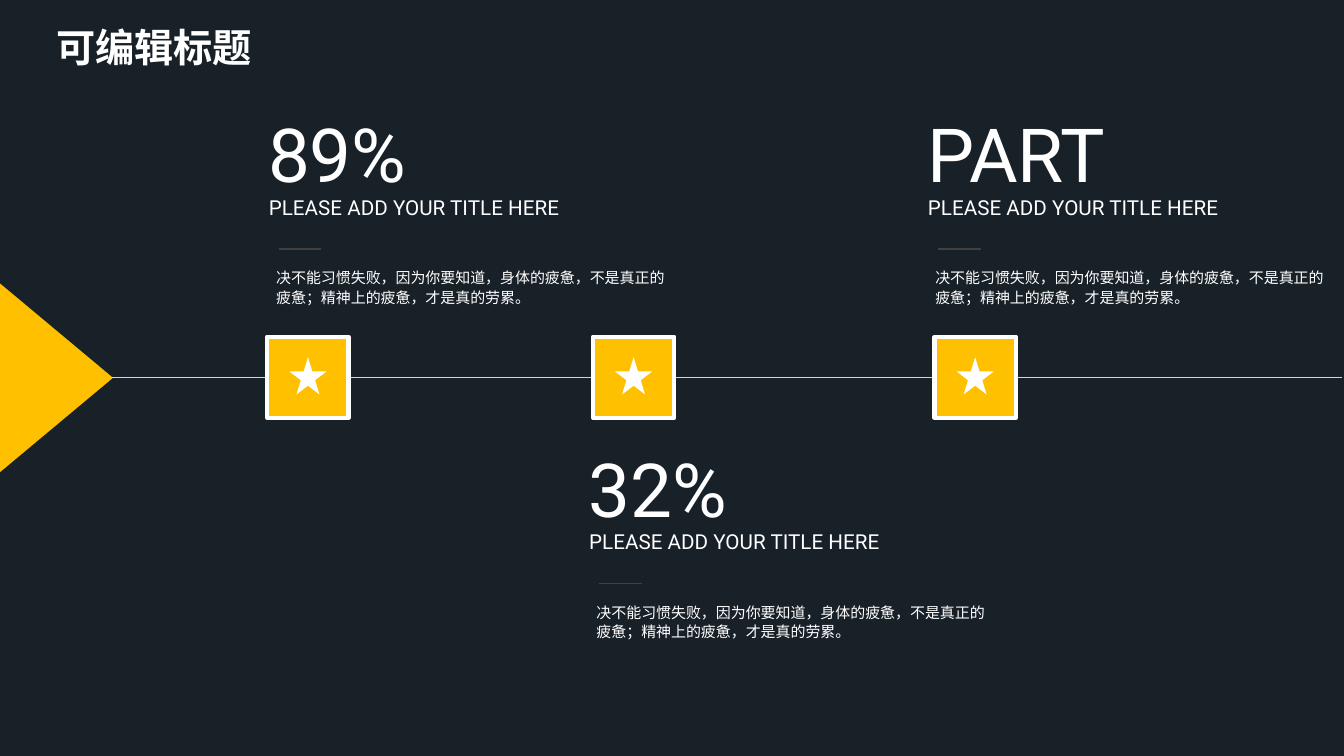
from lxml.etree import SubElement
from pptx import Presentation
from pptx.dml.color import RGBColor
from pptx.enum.shapes import MSO_CONNECTOR as Connector, MSO_SHAPE as Shape
from pptx.enum.text import MSO_AUTO_SIZE as AutoSize
from pptx.oxml.ns import qn
from pptx.util import Pt

TITLE = "可编辑标题"
HEADING = "PLEASE ADD YOUR TITLE HERE"
BODY = "决不能习惯失败，因为你要知道，身体的疲惫，不是真正的疲惫；精神上的疲惫，才是真的劳累。"
# figure, figure width, block left, block top, badge left
MILESTONES = [
    ("89%", 122.4, 184.4, 73.5, 191),
    ("32%", 122.4, 413.2, 312.5, 423.6),
    ("PART", 153.4, 655.2, 73.5, 667.6),
]

THEME = {
    "background": "182028", "accent": "FFC000", "white": "FFFFFF",
    "axis": "D5D5D5", "rule": "404040",
    "latin": "Roboto", "cjk": "Noto Sans CJK SC",
    "title": {"size": Pt(28), "bold": True, "name": "Roboto"},
    "figure": {"size": Pt(53.3), "name": "Roboto"},
    "heading": {"size": Pt(14.7), "name": "Roboto"},
    "body": {"size": Pt(10.7), "name": "Noto Sans CJK SC"},
}
SLIDE_WIDTH, SLIDE_HEIGHT = 960, 540
AXIS_Y, AXIS_LEFT, AXIS_RIGHT = 269.5, 80, 958.5
BADGE, STAR = 58, 26.6


def color(name):
    return RGBColor.from_string(THEME[name])


def add_text(page, text, style, left, top, width, height, wrap=True, spacing=None):
    box = page.shapes.add_textbox(Pt(left), Pt(top), Pt(width), Pt(height))
    frame = box.text_frame
    frame.word_wrap = wrap
    frame.auto_size = AutoSize.SHAPE_TO_FIT_TEXT
    para = frame.paragraphs[0]
    if spacing:
        para.line_spacing = Pt(spacing)
    span = para.add_run()
    span.text = text
    for key, value in THEME[style].items():
        setattr(span.font, key, value)
    span.font.color.rgb = color("white")
    east_asian = SubElement(span.font._element, qn("a:ea"))
    east_asian.set("typeface", THEME["cjk"])


def add_line(page, left, right, y, name):
    line = page.shapes.add_connector(Connector.STRAIGHT, Pt(left), Pt(y), Pt(right), Pt(y))
    line.line.color.rgb = color(name)
    line.line.width = Pt(1)
    SubElement(line._element.spPr, qn("a:effectLst"))


def add_solid(page, kind, left, top, width, height, fill, border=None):
    shape = page.shapes.add_shape(kind, Pt(left), Pt(top), Pt(width), Pt(height))
    shape.shadow.inherit = False
    shape.fill.solid()
    shape.fill.fore_color.rgb = color(fill)
    if border:
        shape.line.color.rgb = color("white")
        shape.line.width = Pt(border)
    else:
        shape.line.fill.background()
    return shape


def add_badge(page, left):
    """Bordered square centred on the axis, with a star inside."""
    add_solid(page, Shape.RECTANGLE, left, AXIS_Y - BADGE / 2, BADGE, BADGE, "accent", 3)
    inset = (BADGE - STAR) / 2
    add_solid(page, Shape.STAR_5_POINT, left + inset, AXIS_Y - STAR / 2 - 1, STAR, STAR, "white")


def add_block(page, figure, figure_width, left, top):
    add_text(page, BODY, "body", left + 5.8, top + 113.7, 296, 34.6, spacing=14)
    add_text(page, figure, "figure", left, top, figure_width, 72, wrap=False)
    add_text(page, HEADING, "heading", left + 0.6, top + 62, 242.6, 25.2, wrap=False)
    add_line(page, left + 15, left + 45.2, top + 104.4, "rule")


def main():
    deck = Presentation()
    deck.slide_width, deck.slide_height = Pt(SLIDE_WIDTH), Pt(SLIDE_HEIGHT)
    page = deck.slides.add_slide(deck.slide_layouts[6])
    page.background.fill.solid()
    page.background.fill.fore_color.rgb = color("background")

    pointer = add_solid(page, Shape.ISOSCELES_TRIANGLE, -26.9, 229.6, 134.6, 80.6, "accent")
    pointer.rotation = 90
    add_line(page, AXIS_LEFT, AXIS_RIGHT, AXIS_Y, "axis")
    for figure, figure_width, left, top, badge_left in MILESTONES:
        add_badge(page, badge_left)
        add_block(page, figure, figure_width, left, top)
    add_text(page, TITLE, "title", 33, 13, 367, 41)
    deck.save("out.pptx")


if __name__ == "__main__":
    main()
